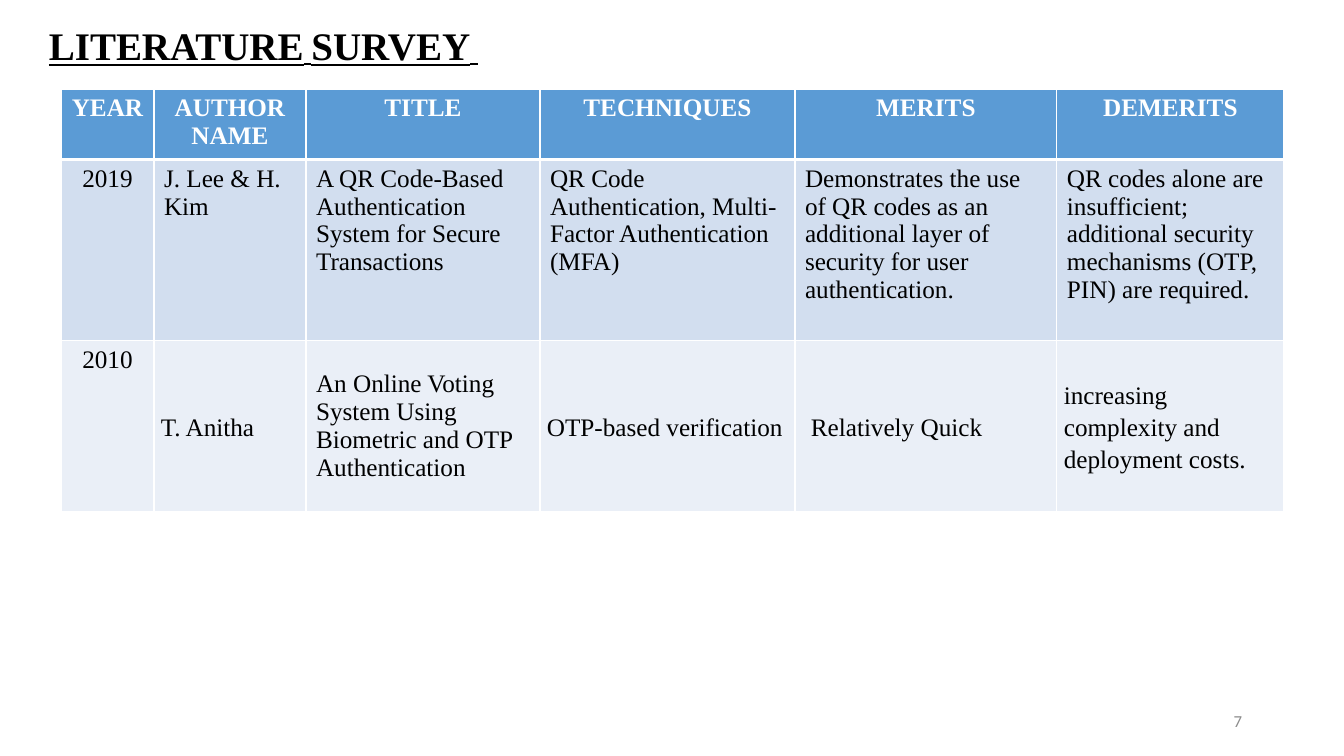
from lxml import etree
from pptx import Presentation
from pptx.dml.color import RGBColor
from pptx.enum.text import MSO_ANCHOR, PP_ALIGN
from pptx.oxml.ns import qn
from pptx.util import Pt

LEFT, CENTER, RIGHT, JUSTIFY = PP_ALIGN.LEFT, PP_ALIGN.CENTER, PP_ALIGN.RIGHT, PP_ALIGN.JUSTIFY
MIDDLE = MSO_ANCHOR.MIDDLE
EMU_PER_PX = 914400 / 100.8
COLORS = {
    "black": "000000",
    "white": "FFFFFF",
    "header": "5B9BD5",
    "band_dark": "D2DEEF",
    "band_light": "EAEFF7",
    "page_number": "8C8C8C",
}


def px(length):
    return round(length * EMU_PER_PX)


def style(run, size, color, bold=False, font="Times New Roman"):
    run.font.name = font
    run.font.size = Pt(size)
    run.font.bold = bold
    run.font.color.rgb = RGBColor.from_string(COLORS[color])


prs = Presentation()
prs.slide_width, prs.slide_height = px(1344), px(756)
slide = prs.slides.add_slide(prs.slide_layouts[6])

heading = slide.shapes.add_textbox(px(39), px(26), px(1159), px(44)).text_frame
heading.word_wrap = True
heading.vertical_anchor = MIDDLE
heading_line = heading.paragraphs[0]
heading_line.line_spacing = 0.9
for word, size in [("LITERATURE", 27.9), (" ", 21.6), ("SURVEY", 27.9), (" ", 21.6)]:
    run = heading_line.add_run()
    run.text = word
    style(run, size, "black", bold=True)
    run.font.underline = True

survey_rows = [
    ["YEAR", "AUTHOR NAME", "TITLE", "TECHNIQUES", "MERITS", "DEMERITS"],
    [
        "2019",
        "J. Lee & H. Kim",
        "A QR Code-Based Authentication System for Secure Transactions",
        "QR Code Authentication, Multi-Factor Authentication (MFA)",
        "Demonstrates the use of QR codes as an additional layer of security for user authentication.",
        "QR codes alone are insufficient; additional security mechanisms (OTP, PIN) are required.",
    ],
    [
        "2010",
        "T. Anitha",
        "An Online Voting System Using Biometric and OTP Authentication",
        "OTP-based verification",
        "Relatively Quick",
        "increasing complexity and deployment costs.",
    ],
]
column_widths = [93, 152, 234, 255, 262, 227]
row_heights = [66, 181, 171]
row_fills = ["header", "band_dark", "band_light"]
YEAR, TITLE, MERITS, DEMERITS = 0, 2, 4, 5

survey = slide.shapes.add_table(
    len(row_heights), len(column_widths), px(61), px(89), px(sum(column_widths)), px(sum(row_heights))
).table
for column, width in zip(survey.columns, column_widths):
    column.width = px(width)
for row, height in zip(survey.rows, row_heights):
    row.height = px(height)

for r, entries in enumerate(survey_rows):
    is_header, is_last = r == 0, r == 2
    for c, entry in enumerate(entries):
        cell = survey.cell(r, c)
        cell.text_frame.text = entry
        line = cell.text_frame.paragraphs[0]
        line.alignment = CENTER if is_header or c == YEAR else LEFT
        style(line.runs[0], 18, "white" if is_header else "black", bold=is_header)

        if is_last and c != YEAR:
            cell.vertical_anchor = MIDDLE
            if c != TITLE:
                cell.margin_left = cell.margin_right = px(7)
                cell.margin_top = cell.margin_bottom = 0
                line.line_spacing = 1.15
                line.alignment = LEFT if c == DEMERITS else JUSTIFY
            if c == MERITS:
                line._p.get_or_add_pPr().set("marL", str(px(9)))
            if c == DEMERITS:
                line.space_after = Pt(10)

        cell_properties = cell._tc.get_or_add_tcPr()
        border_widths = {"L": 1, "R": 1, "T": 3 if r == 1 else 1, "B": 3 if is_header else 1}
        for side, width in border_widths.items():
            border = etree.SubElement(cell_properties, qn(f"a:ln{side}"), w=str(Pt(width)))
            border_fill = etree.SubElement(border, qn("a:solidFill"))
            etree.SubElement(border_fill, qn("a:srgbClr"), val=COLORS["white"])
        cell.fill.solid()
        cell.fill.fore_color.rgb = RGBColor.from_string(COLORS[row_fills[r]])

page_number = slide.shapes.add_textbox(px(950), px(701), px(302), px(40)).text_frame
page_number.word_wrap = True
page_number.vertical_anchor = MIDDLE
page_number.text = "7"
page_number.paragraphs[0].alignment = RIGHT
style(page_number.paragraphs[0].runs[0], 12, "page_number", font="Calibri")

prs.save("out.pptx")
